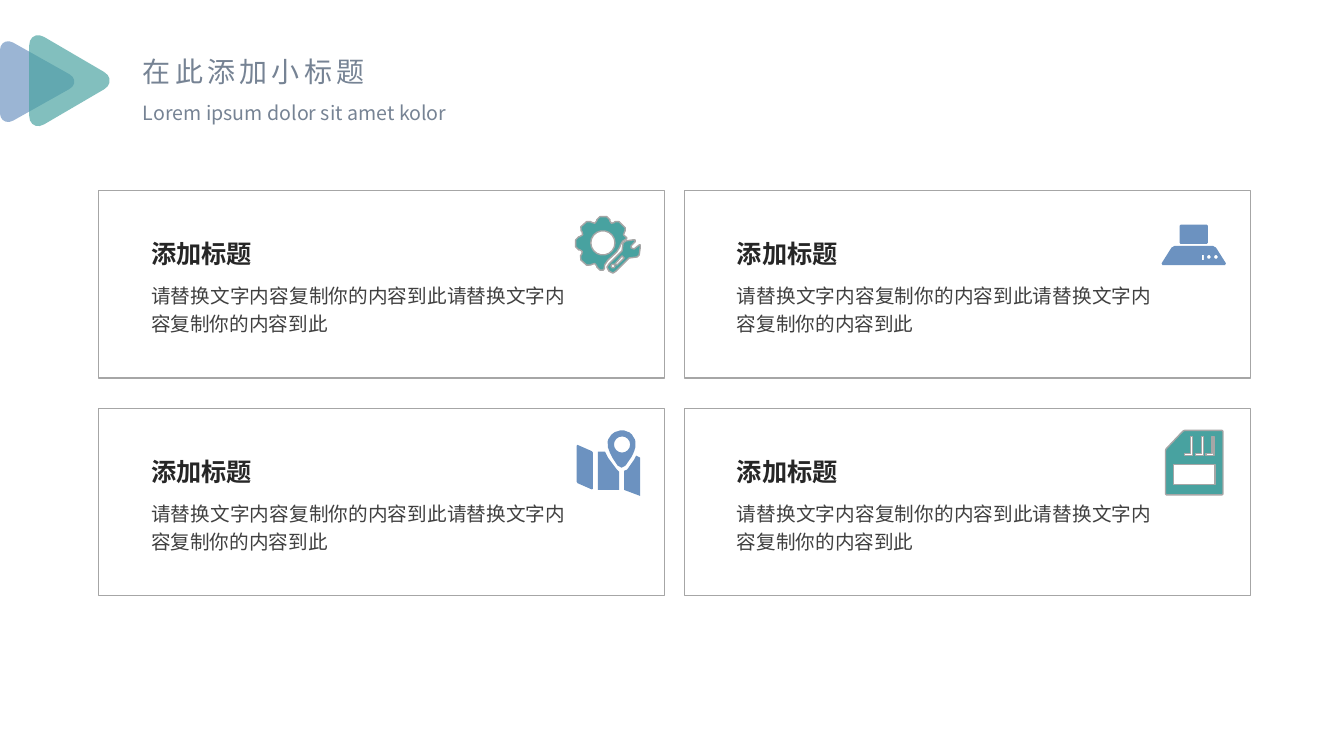
from math import cos, dist, pi, sin

from lxml.etree import SubElement
from pptx import Presentation
from pptx.dml.color import RGBColor
from pptx.enum.shapes import MSO_SHAPE
from pptx.enum.text import MSO_AUTO_SIZE, PP_ALIGN
from pptx.oxml.ns import qn
from pptx.util import Pt

PX = 9144
FONT = "Noto Sans CJK SC"
TEAL = RGBColor(0x48, 0xA2, 0xA0)
BLUE = RGBColor(0x6C, 0x92, 0xC0)
GRAY = RGBColor(0xA6, 0xA6, 0xA6)
SLATE = RGBColor(0x76, 0x83, 0x94)
BODY = RGBColor(0x40, 0x40, 0x40)
HEADING = RGBColor(0x26, 0x26, 0x26)
BODY_TEXT = "请替换文字内容复制你的内容到此请替换文字内容复制你的内容到此"


def toward(start, end, length):
    """Return the point at a given length from start on the way to end."""
    share = length / dist(start, end)
    return tuple(a + (b - a) * share for a, b in zip(start, end))


def rounded(corners, cut, steps=1):
    """Return a closed outline whose corners are cut off in a number of steps."""
    outline = []
    for index, corner in enumerate(corners):
        before, after = corners[index - 1], corners[(index + 1) % len(corners)]
        reach = min(cut, dist(before, corner) / 2, dist(corner, after) / 2)
        controls = [toward(corner, before, reach), toward(corner, before, reach / 2),
                    toward(corner, after, reach / 2), toward(corner, after, reach)]
        for step in range(steps + 1):
            t = step / steps
            weights = ((1 - t) ** 3, 3 * t * (1 - t) ** 2, 3 * t * t * (1 - t), t ** 3)
            outline.append(tuple(sum(w * p[axis] for w, p in zip(weights, controls))
                                 for axis in (0, 1)))
    return outline


def circle(x, y, radius, steps=6):
    """Return the outline of a circle."""
    return [(x + radius * cos(2 * pi * i / steps), y + radius * sin(2 * pi * i / steps))
            for i in range(steps)]


def box(left, top, right, bottom):
    """Return the four corners of a box."""
    return [(left, top), (right, top), (right, bottom), (left, bottom)]


def contact(left):
    """Return the outline of one contact on the memory card."""
    return [(left + 6, 433), (left + 8, 433), (left + 8, 452),
            (left, 452), (left, 450), (left + 6, 450)]


GEAR = [
    rounded([(592, 215), (605, 215), (605, 221), (608, 222), (612, 218), (622, 228),
             (618, 231), (619, 235), (624, 236), (619, 238), (616, 241), (614, 248),
             (601, 260), (599, 265), (600, 268), (592, 268), (592, 262), (588, 261),
             (584, 265), (574, 256), (578, 251), (577, 248), (571, 248), (571, 235),
             (577, 235), (579, 231), (574, 227), (584, 218), (588, 222), (592, 221)], 3),
    circle(598, 241, 12, 18),
    [(621, 239), (628, 238), (630, 238), (630, 240), (626, 244), (626, 246),
     (629, 247), (634, 243), (635, 243), (635, 246), (634, 253), (632, 255),
     (624, 256), (611, 269), (608, 271), (604, 269), (602, 265), (604, 262),
     (617, 249), (618, 241)],
    [(617, 254), (610, 262), (612, 263), (619, 256)],
    circle(608, 264, 2),
]
HOOD = [
    rounded(box(1170, 223, 1198, 242), 1),
    rounded([(1163, 244), (1205, 244), (1217, 263), (1151, 263)], 2),
    box(1192, 253, 1194, 258),
    circle(1199, 255, 2),
    circle(1206, 255, 2),
]
MAP = [
    rounded([(572, 441), (588, 448), (588, 486), (572, 479)], 1),
    [(593, 448), (600, 448), (603, 454), (612, 466), (614, 468), (614, 486), (593, 486)],
    [(631, 452), (635, 454), (635, 492), (619, 486), (619, 467), (622, 466), (629, 456)],
    rounded([(612, 427), (622, 427), (629, 433), (631, 441), (628, 451), (619, 464),
             (614, 464), (606, 452), (602, 441), (604, 433)], 3),
    circle(617, 441, 8, 16),
]
MEMORY_CARD = [
    rounded([(1174, 427), (1213, 427), (1213, 491), (1156, 491), (1156, 446)], 1),
    *[contact(left) for left in (1175, 1186, 1196)],
    box(1164, 461, 1205, 481),
]


class SlideBuilder:
    """Hold the slide and its style, and draw each kind of element."""

    def __init__(self, slide):
        """Start with the slide itself as the drawing target."""
        self.slide = slide
        self.shapes = slide.shapes

    def start_group(self):
        """Direct the following elements into a new group."""
        self.shapes = self.slide.shapes.add_group_shape().shapes

    def frame(self, left, top, width, height):
        """Draw an unfilled outlined rectangle."""
        shape = self.shapes.add_shape(MSO_SHAPE.RECTANGLE, left * PX, top * PX,
                                      width * PX, height * PX)
        shape.shadow.inherit = False
        shape.fill.background()
        shape.line.color.rgb = GRAY
        shape.line.width = Pt(1)

    def outline(self, contours, color, lined=False, opacity=100):
        """Draw one filled freeform made of closed contours."""
        paths = [[(x * PX, y * PX) for x, y in contour] for contour in contours]
        builder = self.shapes.build_freeform(*paths[0][0])
        for index, points in enumerate(paths):
            if index:
                builder.move_to(*points[0])
            builder.add_line_segments(points[1:], close=True)
        shape = builder.convert_to_shape()
        shape.shadow.inherit = False
        shape.fill.solid()
        shape.fill.fore_color.rgb = color
        if opacity < 100:
            fill_color = shape.fill._xPr.find(qn("a:solidFill"))[0]
            SubElement(fill_color, qn("a:alpha"), val=str(opacity * 1000))
        if lined:
            shape.line.color.rgb = GRAY
            shape.line.width = Pt(1)
        else:
            shape.line.fill.background()

    def text(self, left, top, width, height, words, size, color,
             bold=False, wrap=False, spacing=0):
        """Draw a text box with one run."""
        shape = self.shapes.add_textbox(left * PX, top * PX, width * PX, height * PX)
        frame = shape.text_frame
        frame.word_wrap = wrap
        frame.auto_size = MSO_AUTO_SIZE.SHAPE_TO_FIT_TEXT
        paragraph = frame.paragraphs[0]
        if wrap:
            paragraph.alignment = PP_ALIGN.JUSTIFY
            paragraph.line_spacing = 1.2
        run = paragraph.add_run()
        run.text = words
        run.font.size = Pt(size)
        run.font.bold = bold
        run.font.color.rgb = color
        run.font.name = FONT
        properties = run.font._element
        SubElement(properties, qn("a:ea"), typeface=FONT)
        if spacing:
            properties.set("spc", str(spacing * 100))

    def card(self, left, top, icon, color, lined):
        """Draw a framed card with an icon, a body and a heading."""
        self.start_group()
        self.frame(left, top, 561, 186)
        self.outline(icon, color, lined)
        self.text(left + 42, top + 83, 431, 67, BODY_TEXT, 14, BODY, wrap=True)
        self.text(left + 42, top + 37, 224, 45, "添加标题", 18, HEADING,
                  bold=True, wrap=True)


def main():
    """Build the slide and save it."""
    presentation = Presentation()
    presentation.slide_width = 1333 * PX
    presentation.slide_height = 750 * PX
    slide = presentation.slides.add_slide(presentation.slide_layouts[6])
    builder = SlideBuilder(slide)

    builder.text(132, 49, 246, 44, "在此添加小标题", 20, SLATE, spacing=3)
    builder.text(132, 95, 323, 34, "Lorem ipsum dolor sit amet kolor", 14, SLATE)

    builder.start_group()
    builder.outline([rounded([(0, 35), (82, 81), (0, 127)], 15, 5)], BLUE, opacity=68)
    builder.outline([rounded([(29, 28), (118, 80), (29, 132)], 17, 5)], TEAL, opacity=68)

    icons = [(GEAR, TEAL, True), (MAP, BLUE, False),
             (HOOD, BLUE, False), (MEMORY_CARD, TEAL, True)]
    for index, (icon, color, lined) in enumerate(icons):
        column, row = divmod(index, 2)
        builder.card(98 + 581 * column, 189 + 216 * row, icon, color, lined)

    presentation.save("out.pptx")


if __name__ == "__main__":
    main()
